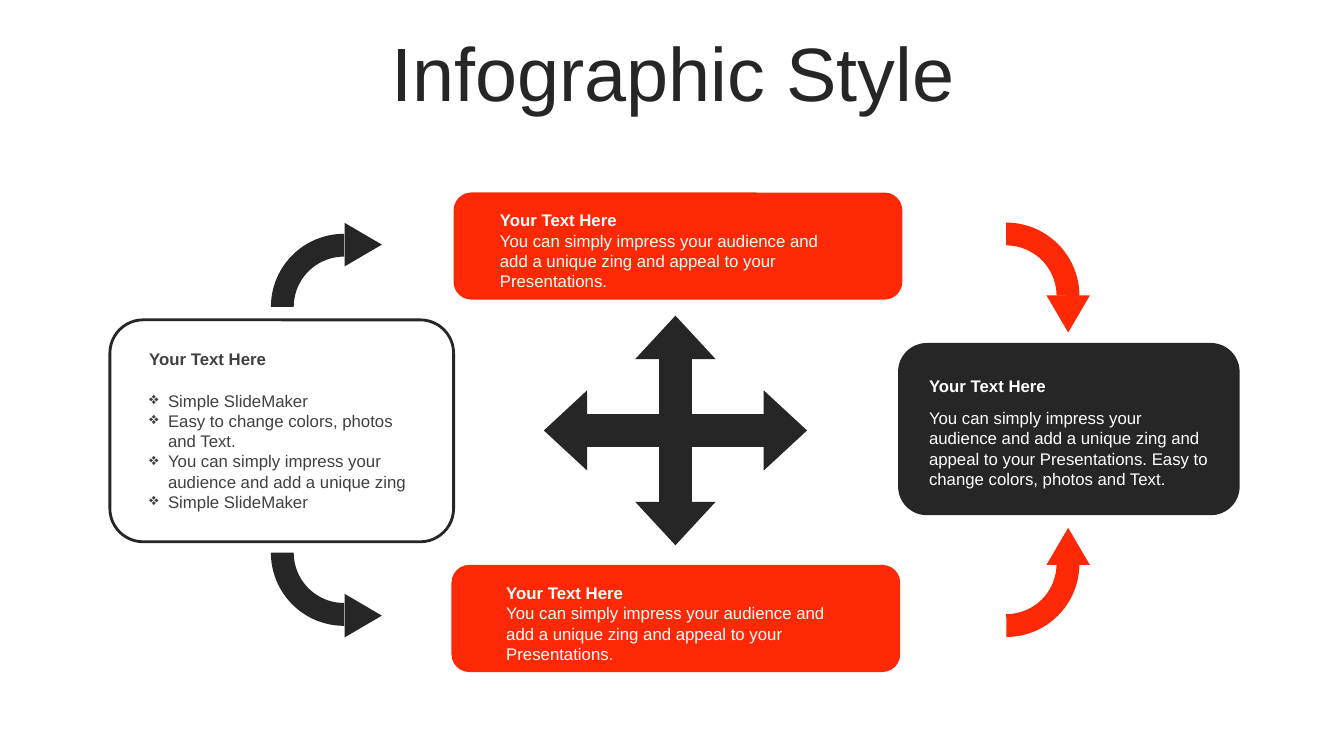
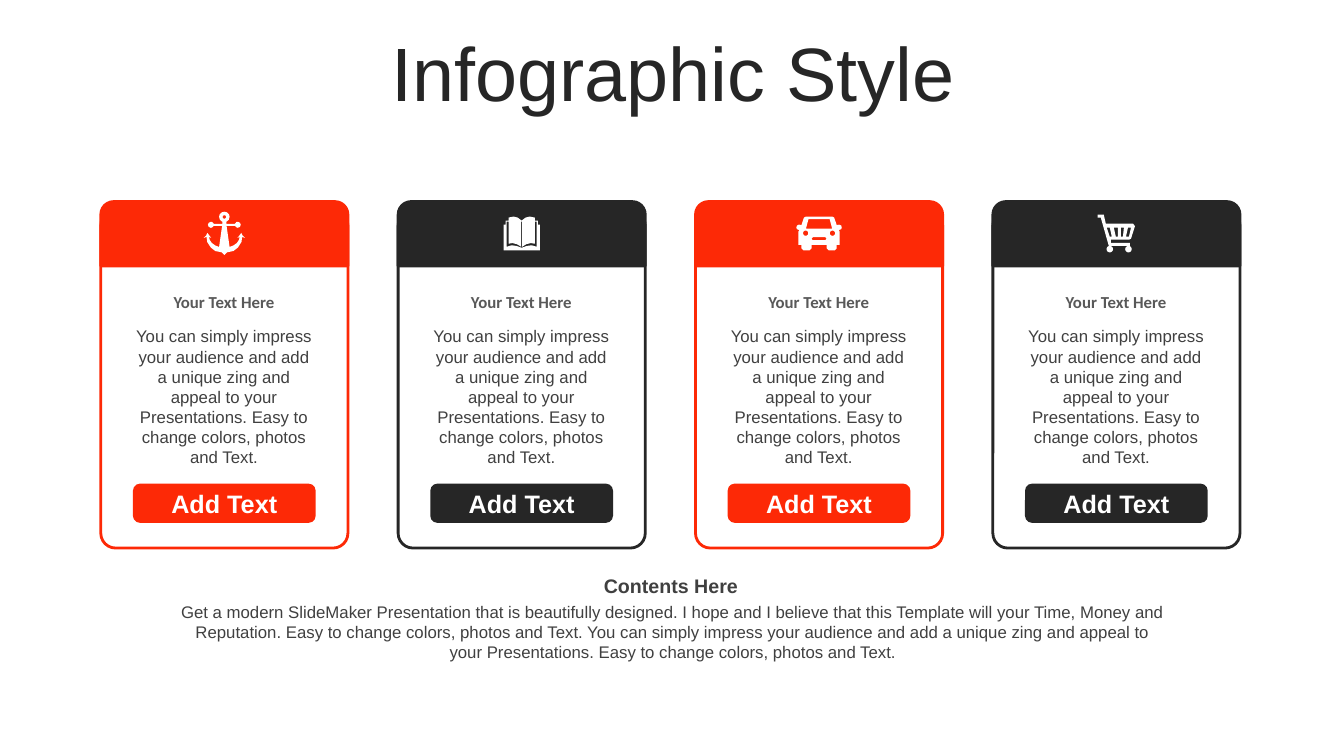
import math

from lxml import etree
from pptx import Presentation
from pptx.dml.color import RGBColor
from pptx.enum import shapes, text
from pptx.oxml import ns
from pptx.util import Pt

DARK = RGBColor(0x26, 0x26, 0x26)
RED = RGBColor(0xFD, 0x29, 0x06)
WHITE = RGBColor(0xFF, 0xFF, 0xFF)
BODY = RGBColor(0x40, 0x40, 0x40)
GRAY = RGBColor(0x59, 0x59, 0x59)

KIND = shapes.MSO_SHAPE
CENTER, LEFT = text.PP_ALIGN.CENTER, text.PP_ALIGN.LEFT
MIDDLE, TOP = text.MSO_ANCHOR.MIDDLE, text.MSO_ANCHOR.TOP

TITLE = "Infographic Style"
HEADING = "Your Text Here"
IMPRESS = ("You can simply impress your audience and add a unique zing "
           "and appeal to your Presentations.")
EASY = "Easy to change colors, photos and Text."
BULLETS = ["Simple SlideMaker", EASY,
           "You can simply impress your audience and add a unique zing",
           "Simple SlideMaker"]
CONTENTS = ("Get a modern SlideMaker Presentation that is beautifully designed. "
            "I hope and I believe that this Template will your Time, Money and "
            f"Reputation. {EASY} {IMPRESS} {EASY}")

ICON_UNIT = 0.72
QUARTER = 54


def mirrored(right):
    """Close a right-hand outline with its reflection about x = 0."""
    return right + [(-x, y) for x, y in reversed(right)]


def circle(x, y, radius, steps=24):
    """Return the points of a circle."""
    angles = [2 * math.pi * i / steps for i in range(steps)]
    return [(x + radius * math.cos(a), y + radius * math.sin(a)) for a in angles]


ANCHOR = [
    mirrored([(0, 0), (2.5, 0.6), (4.6, 2.5), (5.2, 5), (4.4, 8), (2, 10),
              (2, 12), (10.5, 12), (12, 10.2), (13.3, 10), (15.5, 11),
              (16.3, 13), (15.5, 15), (13.3, 16), (12, 15.5), (10.5, 14),
              (2.2, 14), (5.2, 35), (9, 33.5), (12.5, 31), (14.5, 28),
              (15.2, 25), (13, 26), (15, 23.5), (16.8, 21), (18, 23.5),
              (20.5, 26), (17.7, 25), (17, 30), (13.5, 35.5), (9, 39),
              (2.7, 40.3), (0, 43)]),
    circle(0, 5.2, 1.7),
]
BOOK = [
    mirrored([(0, 4), (4, 1), (8, 0), (13, 1), (13, 4), (16, 4), (16, 8),
              (18, 8), (18, 33.5), (0, 33.5)]),
    mirrored([(0.4, 5), (0.4, 30), (4.5, 27.5), (9, 26.3), (13, 27), (13, 5),
              (15, 5), (15, 30), (10, 28.5), (5, 29.2), (0, 31)]),
]
CAR = [
    mirrored([(0, 0), (13, 0), (15, 1), (17.5, 8.5), (20, 8), (22, 9),
              (22.5, 11), (22, 12.5), (19.5, 13.5), (20.5, 15), (20.5, 28),
              (17.5, 28), (17.5, 31.5), (15.5, 33.5), (9.5, 33.5),
              (7.5, 31.5), (7.5, 28), (0, 28)]),
    mirrored([(0, 2.5), (10.5, 2.5), (13, 12), (0, 12)]),
    mirrored([(0, 20.5), (6.2, 20.5), (7.5, 22), (6.2, 23.5), (0, 23.5)]),
    circle(-13.3, 16.5, 2.6),
    circle(13.3, 16.5, 2.6),
]
CART = [
    [(6, 0), (8, 9), (35, 9), (37, 11.5), (33, 24), (31, 25), (13, 25),
     (13, 28), (32, 28), (32, 31), (11, 31), (3, 3), (0, 3), (0, 0)],
    [(9, 13), (12, 13), (14, 22), (12, 22)],
    [(16, 13), (20, 13), (20, 22), (18, 22)],
    [(23, 13), (26, 13), (25, 22), (23, 22)],
    [(30, 13), (33, 13), (31, 22), (28, 22)],
    circle(12, 34.3, 3.2),
    circle(30.5, 34.3, 3.2),
]


class Deck:
    """Hold the shared style and the current slide."""

    def __init__(self):
        """Start an empty wide presentation."""
        self.presentation = Presentation()
        self.presentation.slide_width = Pt(960)
        self.presentation.slide_height = Pt(540)
        self.slide = None

    def new_slide(self, title):
        """Add a slide with the shared title style."""
        layout = self.presentation.slide_layouts[5]
        self.slide = self.presentation.slides.add_slide(layout)
        shape = self.slide.shapes.title
        shape.left, shape.top = Pt(25), Pt(26.5)
        shape.width, shape.height = Pt(911.5), Pt(57)
        self.set_text(shape, [title], 54, DARK, align=CENTER)
        shape.text_frame.paragraphs[0].line_spacing = 0.9

    def set_text(self, shape, lines, size, color, bold=False, align=LEFT,
                 anchor=MIDDLE, font="Arial", bullet=None):
        """Fill a shape with formatted paragraphs."""
        frame = shape.text_frame
        frame.text = "\n".join(lines)
        frame.word_wrap = True
        frame.auto_size = text.MSO_AUTO_SIZE.NONE
        frame.vertical_anchor = anchor
        for paragraph in frame.paragraphs:
            paragraph.alignment = align
            if bullet:
                properties = paragraph._p.get_or_add_pPr()
                properties.set("marL", str(Pt(13.5)))
                properties.set("indent", str(-Pt(13.5)))
                etree.SubElement(properties, ns.qn("a:buChar"), char=bullet)
            for run in paragraph.runs:
                run.font.name, run.font.size = font, Pt(size)
                run.font.bold, run.font.color.rgb = bold, color

    def label(self, left, top, width, height, lines, color, size=12, **style):
        """Add a text box."""
        box = self.slide.shapes.add_textbox(
            Pt(left), Pt(top), Pt(width), Pt(height))
        self.set_text(box, lines, size, color, **style)

    def paint(self, shape, fill, line=None):
        """Set fill and outline and drop the shadow."""
        shape.shadow.inherit = False
        for target, color in ((shape.fill, fill), (shape.line.fill, line)):
            if color is None:
                target.background()
            else:
                target.solid()
                target.fore_color.rgb = color
        if line is not None:
            shape.line.width = Pt(2)

    def shape(self, kind, left, top, width, height, fill, line=None,
              adjust=(), turn=0):
        """Add a preset shape."""
        shape = self.slide.shapes.add_shape(
            kind, Pt(left), Pt(top), Pt(width), Pt(height))
        for index, value in enumerate(adjust):
            shape.adjustments[index] = value
        shape.rotation = turn
        self.paint(shape, fill, line)
        return shape

    def curved_arrow(self, arc, start, head, turn, color):
        """Add a quarter ring and its triangular head."""
        end = (start + QUARTER) % (4 * QUARTER)
        self.shape(KIND.BLOCK_ARC, *arc, 104.5, 104.5, color,
                   adjust=(start, end, 0.156))
        self.shape(KIND.ISOSCELES_TRIANGLE, *head, 31, 26.5, color, turn=turn)

    def icon(self, outlines, center_x, center_y):
        """Draw white outlines centred on a point."""
        xs, ys = zip(*(point for outline in outlines for point in outline))
        middle_x, middle_y = (min(xs) + max(xs)) / 2, (min(ys) + max(ys)) / 2
        builder = None
        for outline in outlines:
            points = [(Pt(center_x + (x - middle_x) * ICON_UNIT),
                       Pt(center_y + (y - middle_y) * ICON_UNIT))
                      for x, y in outline]
            if builder is None:
                builder = self.slide.shapes.build_freeform(*points[0])
            else:
                builder.move_to(*points[0])
            builder.add_line_segments(points[1:], close=True)
        self.paint(builder.convert_to_shape(), WHITE)

    def banner(self, left, top, text_left):
        """Add a red box with a heading and a short text."""
        self.shape(KIND.ROUNDED_RECTANGLE, left, top, 320.5, 76.5, RED)
        self.label(text_left, top + 31, 265, 36, [IMPRESS], WHITE)
        self.label(text_left, top + 9, 265, 21.5, [HEADING], WHITE, bold=True)

    def card(self, left, color, icon):
        """Add a card with an icon header, text and a button."""
        self.shape(KIND.ROUNDED_RECTANGLE, left, 150.5, 176.5, 241, WHITE,
                   color, adjust=(0.06,))
        self.shape(KIND.ROUND_2_SAME_RECTANGLE, left, 144, 176.5, 46, color,
                   color, adjust=(0.2, 0))
        self.icon(icon, left + 88.25, 166.75)
        button = self.shape(KIND.ROUNDED_RECTANGLE, left + 23, 345.5, 130.5,
                            28, color, adjust=(0.18,))
        self.set_text(button, ["Add Text"], 18, WHITE, bold=True, align=CENTER)
        self.label(left + 15, 205, 146, 21.5, [HEADING], GRAY, bold=True,
                   align=CENTER, anchor=TOP, font="Calibri")
        self.label(left + 15, 229.5, 146, 94.5, [f"{IMPRESS} {EASY}"], BODY,
                   align=CENTER, anchor=TOP)


def cycle_slide(deck):
    """Build the slide with four boxes around a cross of arrows."""
    deck.new_slide(TITLE)
    deck.shape(KIND.ROUNDED_RECTANGLE, 78.5, 228.5, 245.5, 158.5, None, DARK,
               adjust=(0.15,))
    deck.label(99.5, 275, 205, 94.5, BULLETS, BODY, bullet="❖")
    deck.label(99.5, 245.5, 205, 21.5, [HEADING], BODY, bold=True)
    deck.shape(KIND.QUAD_ARROW, 388.5, 225.5, 188, 164, DARK,
               adjust=(0.143, 0.175, 0.189))
    deck.shape(KIND.ROUNDED_RECTANGLE, 641.5, 245, 244, 123, DARK)
    deck.label(656.5, 287.5, 218, 65.5, [f"{IMPRESS} {EASY}"], WHITE)
    deck.label(656.5, 265, 218, 21.5, [HEADING], WHITE, bold=True)
    deck.banner(324, 137.5, 350)
    deck.banner(322.5, 403.5, 354.5)
    deck.curved_arrow((193.5, 167), 2 * QUARTER, (244, 161.5), 90, DARK)
    deck.curved_arrow((193.5, 342.5), QUARTER, (244, 426.5), 90, DARK)
    deck.curved_arrow((666.5, 350.5), 0, (747.5, 377), 0, RED)
    deck.curved_arrow((666.5, 159), 3 * QUARTER, (747.5, 211), 180, RED)


def cards_slide(deck):
    """Build the slide with four icon cards and a closing text."""
    deck.new_slide(TITLE)
    for index, icon in enumerate((ANCHOR, BOOK, CAR, CART)):
        deck.card(72 + 212.4 * index, (RED, DARK)[index % 2], icon)
    deck.label(119.5, 406, 719.5, 24.5, ["Contents Here"], BODY, size=14,
               bold=True, align=CENTER)
    deck.label(121, 426, 719.5, 51, [CONTENTS], BODY, align=CENTER, anchor=TOP)


def main():
    """Build and save the presentation."""
    deck = Deck()
    cycle_slide(deck)
    cards_slide(deck)
    deck.presentation.save("out.pptx")


if __name__ == "__main__":
    main()
